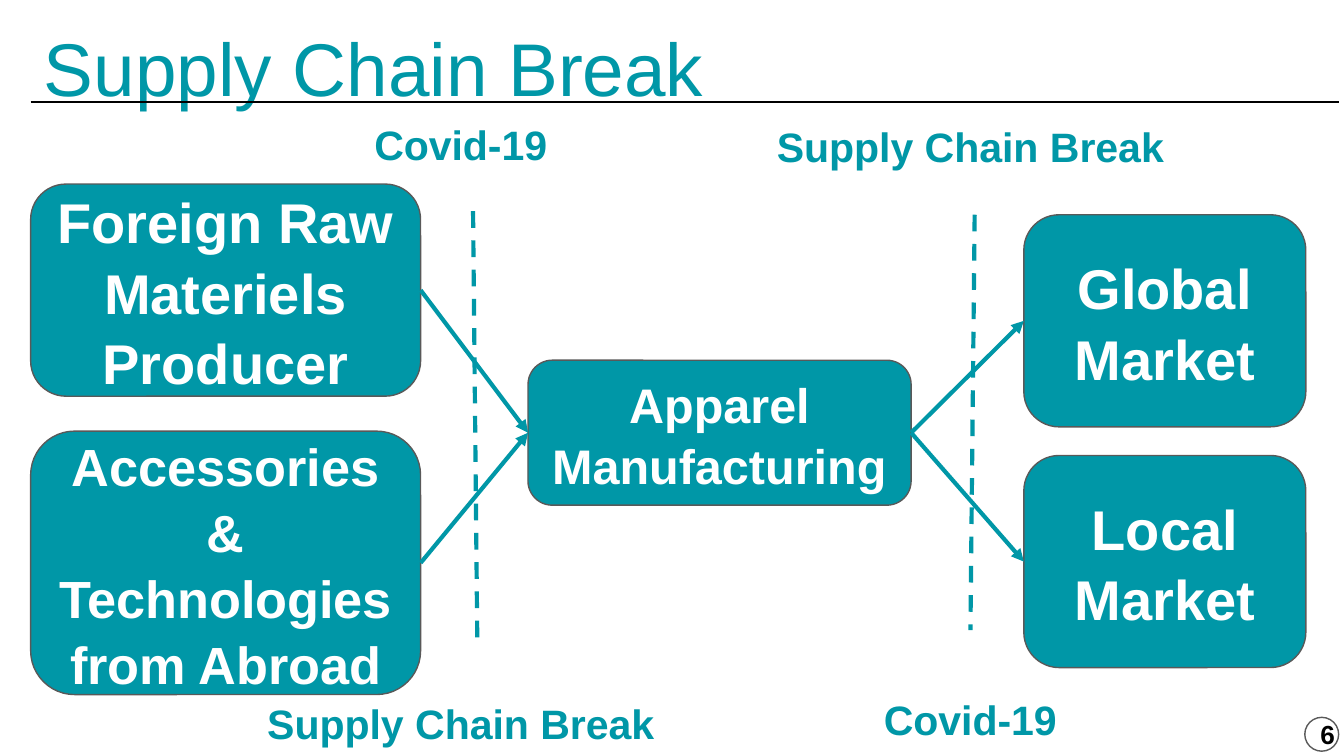
from dataclasses import dataclass

from lxml.etree import SubElement
from pptx import Presentation
from pptx.dml.color import RGBColor
from pptx.enum.dml import MSO_LINE
from pptx.enum.shapes import MSO_CONNECTOR, MSO_SHAPE
from pptx.enum.text import MSO_ANCHOR, MSO_AUTO_SIZE, PP_ALIGN
from pptx.oxml.ns import qn
from pptx.shapes.autoshape import Shape
from pptx.shapes.connector import Connector
from pptx.slide import Slide
from pptx.util import Cm, Pt


@dataclass(frozen=True)
class Theme:
    font: str = "Arial"
    teal: RGBColor = RGBColor(0x00, 0x97, 0xA7)
    white: RGBColor = RGBColor(0xFF, 0xFF, 0xFF)
    black: RGBColor = RGBColor(0x00, 0x00, 0x00)
    grey: RGBColor = RGBColor(0x59, 0x59, 0x59)
    title: float = 40
    label: float = 22
    number: float = 14
    thin: float = 0.75
    thick: float = 2.25


@dataclass(frozen=True)
class Area:
    left: float
    top: float
    width: float
    height: float

    def cm(self) -> tuple[Cm, Cm, Cm, Cm]:
        return Cm(self.left), Cm(self.top), Cm(self.width), Cm(self.height)


@dataclass(frozen=True)
class Box:
    area: Area
    lines: tuple[str, ...]
    size: float


@dataclass(frozen=True)
class Label:
    area: Area
    text: str


@dataclass(frozen=True)
class Rule:
    start: tuple[float, float]
    end: tuple[float, float]


THEME = Theme()
LEFT, RIGHT = 0.58, 19.35  # left edges of the outer columns
WIDE, SLIM, TALL = 7.37, 5.33, 4.01

# Content
SOURCES = (
    Box(Area(LEFT, 3.48, WIDE, TALL), ("Foreign Raw", "Materiels Producer"), 30),
    Box(Area(LEFT, 8.15, WIDE, 4.98), ("Accessories &", "Technologies from Abroad"), 28),
)
MAKER = Box(Area(9.98, 6.81, 7.24, 2.74), ("Apparel", "Manufacturing"), 26)
MARKETS = (
    Box(Area(RIGHT, 4.06, SLIM, TALL), ("Global", "Market"), 30),
    Box(Area(RIGHT, 8.61, SLIM, TALL), ("Local", "Market"), 30),
)
LABELS = (
    Label(Area(3.76, 2.11, 9.9, 1.22), "Covid-19"),
    Label(Area(3.76, 12.95, 9.9, 1.45), "Supply Chain Break"),
    Label(Area(13.39, 2.16, 9.9, 1.22), "Supply Chain Break"),
    Label(Area(13.39, 12.75, 9.9, 1.68), "Covid-19"),
)
BREAKS = (
    Rule((8.94, 3.99), (9.02, 12.09)),
    Rule((18.42, 4.06), (18.34, 11.91)),
)


def write(shape: Shape, lines: tuple[str, ...], size: float, color: RGBColor,
          bold: bool = True, align: PP_ALIGN = PP_ALIGN.CENTER,
          anchor: MSO_ANCHOR = MSO_ANCHOR.MIDDLE, space: float = 1.0) -> None:
    frame = shape.text_frame
    frame.word_wrap = True
    frame.auto_size = MSO_AUTO_SIZE.NONE
    frame.vertical_anchor = anchor
    frame.margin_left = frame.margin_right = Cm(0.25)
    frame.margin_top = frame.margin_bottom = Cm(0.25)
    for i, line in enumerate(lines):
        para = frame.add_paragraph() if i else frame.paragraphs[0]
        para.alignment = align
        para.line_spacing = space
        run = para.add_run()
        run.text = line
        run.font.name = THEME.font
        run.font.size = Pt(size)
        run.font.bold = bold
        run.font.color.rgb = color


def draw_shape(slide: Slide, kind: MSO_SHAPE, area: Area, fill: RGBColor) -> Shape:
    shape = slide.shapes.add_shape(kind, *area.cm())
    shape.shadow.inherit = False
    shape.fill.solid()
    shape.fill.fore_color.rgb = fill
    shape.line.color.rgb = THEME.grey
    shape.line.width = Pt(THEME.thin)
    return shape


def draw_box(slide: Slide, box: Box) -> Shape:
    shape = draw_shape(slide, MSO_SHAPE.ROUNDED_RECTANGLE, box.area, THEME.teal)
    write(shape, box.lines, box.size, THEME.white, space=1.05)
    return shape


def draw_label(slide: Slide, label: Label) -> None:
    shape = slide.shapes.add_textbox(*label.area.cm())
    write(shape, (label.text,), THEME.label, THEME.teal)


def draw_line(slide: Slide, rule: Rule, color: RGBColor, width: float) -> Connector:
    ends = [Cm(n) for n in rule.start + rule.end]
    line = slide.shapes.add_connector(MSO_CONNECTOR.STRAIGHT, *ends)
    line.line.color.rgb = color
    line.line.width = Pt(width)
    SubElement(line._element.spPr, qn("a:effectLst"))
    return line


def draw_arrow(slide: Slide, start: Shape, end: Shape) -> None:
    arrow = draw_line(slide, Rule((0, 0), (0, 0)), THEME.teal, THEME.thick)
    arrow.begin_connect(start, 3)  # middle of the right side
    arrow.end_connect(end, 1)  # middle of the left side
    SubElement(arrow.line._get_or_add_ln(), qn("a:tailEnd"), type="triangle")


def main() -> None:
    deck = Presentation()
    deck.slide_width, deck.slide_height = Cm(25.4), Cm(14.29)
    slide = deck.slides.add_slide(deck.slide_layouts[5])

    # Title and its rule
    title = slide.shapes.title
    title.left, title.top, title.width, title.height = Area(LEFT, 0, 20.32, 2.36).cm()
    write(title, ("Supply Chain Break",), THEME.title, THEME.teal, bold=False,
          align=PP_ALIGN.LEFT, anchor=MSO_ANCHOR.TOP, space=1.1)
    draw_line(slide, Rule((LEFT, 1.93), (25.3, 1.93)), THEME.black, THEME.thin)

    # Chain: sources to maker to markets
    maker = draw_box(slide, MAKER)
    for box in SOURCES:
        draw_arrow(slide, draw_box(slide, box), maker)
    for box in MARKETS:
        draw_arrow(slide, maker, draw_box(slide, box))

    # Breaks and their labels
    for rule in BREAKS:
        draw_line(slide, rule, THEME.teal, THEME.thick).line.dash_style = MSO_LINE.DASH
    for label in LABELS:
        draw_label(slide, label)

    # Slide number
    badge = draw_shape(slide, MSO_SHAPE.OVAL, Area(24.66, 13.56, 0.64, 0.64), THEME.white)
    write(badge, ("6",), THEME.number, THEME.black)

    deck.save("out.pptx")


if __name__ == "__main__":
    main()
